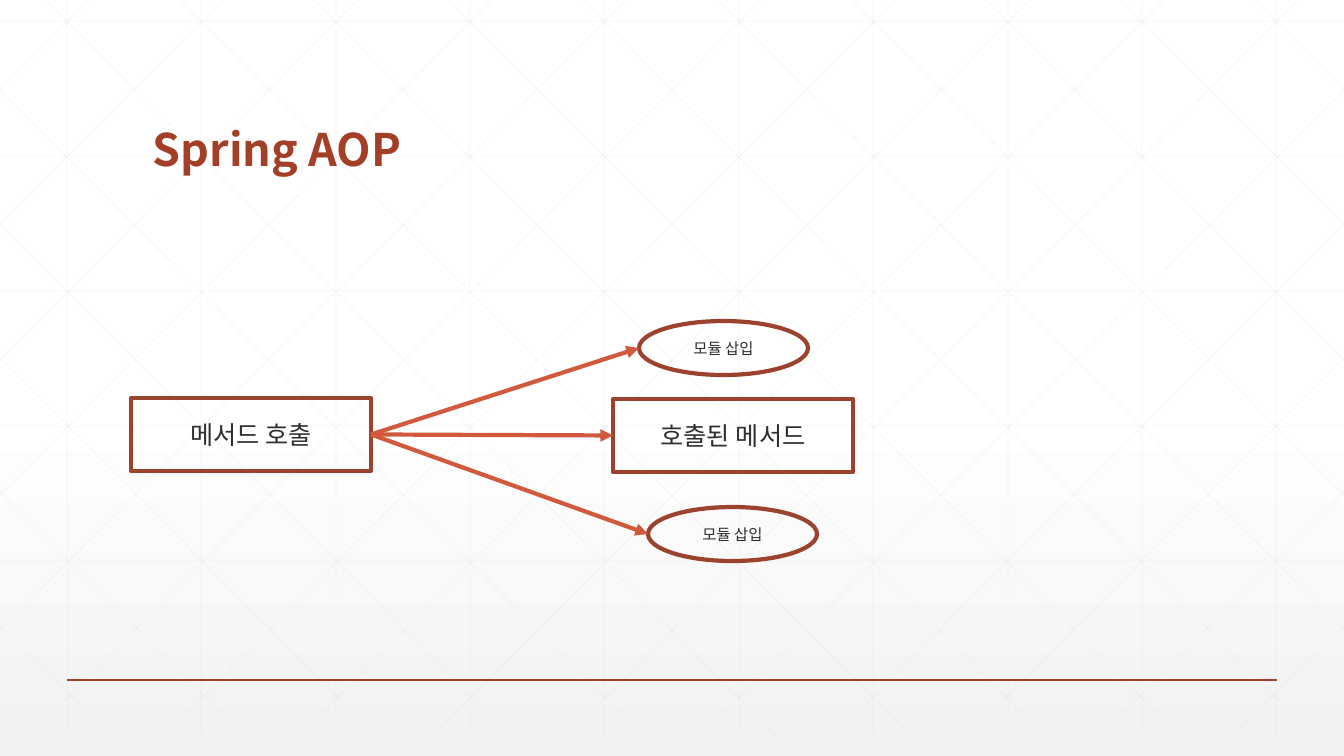
import copy

from lxml import etree
from pptx import Presentation
from pptx import util as u
from pptx.dml.color import RGBColor
from pptx.enum import shapes, text
from pptx.oxml.ns import qn

WIDTH, HEIGHT = 1344, 756
TOP, BOTTOM = -21, 735
COLORS = {
    "white": "FFFFFF",
    "mist": "F2F2F2",
    "grid": "D9D9D9",
    "title": "A43F27",
    "border": "9B432E",
    "arrow": "D15A3E",
    "ink": "2D2E2D",
}


def px(value):
    return u.Emu(round(value * 914400 / 100.8))


def rgb(name):
    return RGBColor.from_string(COLORS[name])


class SlideBuilder:
    body_font = "Arial"
    title_font = "Noto Sans CJK KR"

    def __init__(self, deck):
        self.slide = deck.slides.add_slide(deck.slide_layouts[6])

    def background(self, stops):
        fill = self.slide.background.fill
        fill.gradient()
        fill.gradient_angle = 270
        stop_list = self.slide.element.find(".//" + qn("a:gsLst"))
        stop_list.append(copy.deepcopy(stop_list[-1]))
        for stop, (position, color) in zip(fill.gradient_stops, stops):
            stop.position = position
            stop.color.rgb = rgb(color)

    def line(self, start, end, color, weight, alpha=None, arrow=False):
        connector = self.slide.shapes.add_connector(
            shapes.MSO_CONNECTOR.STRAIGHT, *map(px, (*start, *end)))
        connector.line.color.rgb = rgb(color)
        connector.line.width = u.Pt(weight)
        properties = connector._element.spPr
        etree.SubElement(properties, qn("a:effectLst"))
        if alpha:
            tint = properties.find(".//" + qn("a:srgbClr"))
            etree.SubElement(tint, qn("a:alpha"), val=str(alpha * 1000))
        if arrow:
            etree.SubElement(properties.find(qn("a:ln")), qn("a:tailEnd"), type="triangle")
        return connector

    def grid_line(self, start, end):
        self.line(start, end, "grid", 0.5, alpha=25)

    def mirrored_grid_line(self, start, end):
        self.grid_line(start, end)
        self.grid_line((WIDTH - start[0], start[1]), (WIDTH - end[0], end[1]))

    def add_words(self, frame, words, size, color, font, bold=False):
        frame.word_wrap = True
        paragraph = frame.paragraphs[0]
        run = paragraph.add_run()
        run.text = words
        run.font.size = u.Pt(size)
        run.font.name = font
        run.font.bold = bold
        run.font.color.rgb = rgb(color)
        return paragraph

    def title(self, words, box):
        frame = self.slide.shapes.add_textbox(*map(px, box)).text_frame
        frame.vertical_anchor = text.MSO_ANCHOR.BOTTOM
        paragraph = self.add_words(frame, words, 32, "title", self.title_font, True)
        paragraph.line_spacing = 0.9

    def node(self, kind, words, box, size):
        node = self.slide.shapes.add_shape(kind, *map(px, box))
        node.shadow.inherit = False
        node.fill.background()
        node.line.color.rgb = rgb("border")
        node.line.width = u.Pt(3)
        node.text_frame.vertical_anchor = text.MSO_ANCHOR.MIDDLE
        paragraph = self.add_words(node.text_frame, words, size, "ink", self.body_font)
        paragraph.alignment = text.PP_ALIGN.CENTER
        return node

    def method(self, words, left, top):
        return self.node(shapes.MSO_SHAPE.RECTANGLE, words, (left, top, 240, 73), 18)

    def module(self, words, left, top):
        return self.node(shapes.MSO_SHAPE.OVAL, words, (left, top, 169, 54), 11)

    def call(self, caller, target, target_site):
        arrow = self.line((0, 0), (0, 0), "arrow", 3, arrow=True)
        arrow.begin_connect(caller, 3)
        arrow.end_connect(target, target_site)
        arrow.end_x = target.left
        arrow.end_y = target.top + target.height // 2


def draw_grid(page):
    for column in range(10):
        x = WIDTH * (2 * column + 1) // 20
        page.grid_line((x, TOP), (x, BOTTOM))
    for row in range(6):
        y = 21 + 135 * row
        page.grid_line((0, y), (WIDTH, y))
    for step in range(10):
        x = 25 + WIDTH * step // 10
        end_x = min(WIDTH, x + 751)
        end_y = TOP + (end_x - x) * (BOTTOM - TOP) // 751
        page.mirrored_grid_line((x, TOP), (end_x, end_y))
    for step in range(5):
        page.mirrored_grid_line((642 - 133 * step, BOTTOM), (0, 90 + 134 * step))


def main():
    deck = Presentation()
    deck.slide_width, deck.slide_height = px(WIDTH), px(HEIGHT)
    page = SlideBuilder(deck)
    page.background([(0, "white"), (0.53, "white"), (1, "mist")])
    draw_grid(page)
    page.line((67, 680), (1277, 680), "title", 1)
    page.title("Spring AOP", (143, 55, 1058, 126))

    called = page.method("호출된 메서드", 613, 399)
    caller = page.method("메서드 호출", 131, 398)
    before = page.module("모듈 삽입", 639, 321)
    after = page.module("모듈 삽입", 648, 507)
    for target, site in ((called, 1), (before, 2), (after, 2)):
        page.call(caller, target, site)
    deck.save("out.pptx")


if __name__ == "__main__":
    main()
